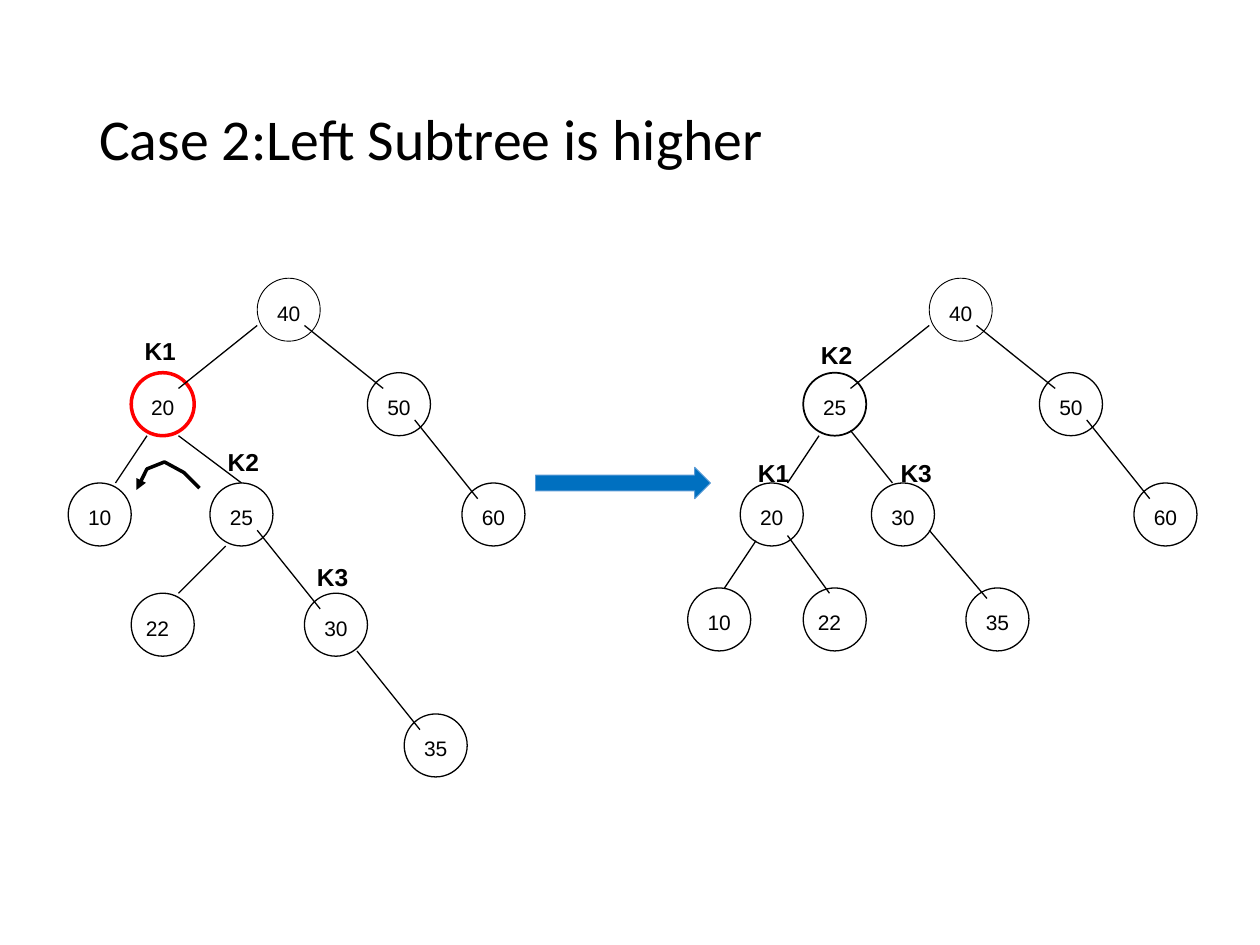
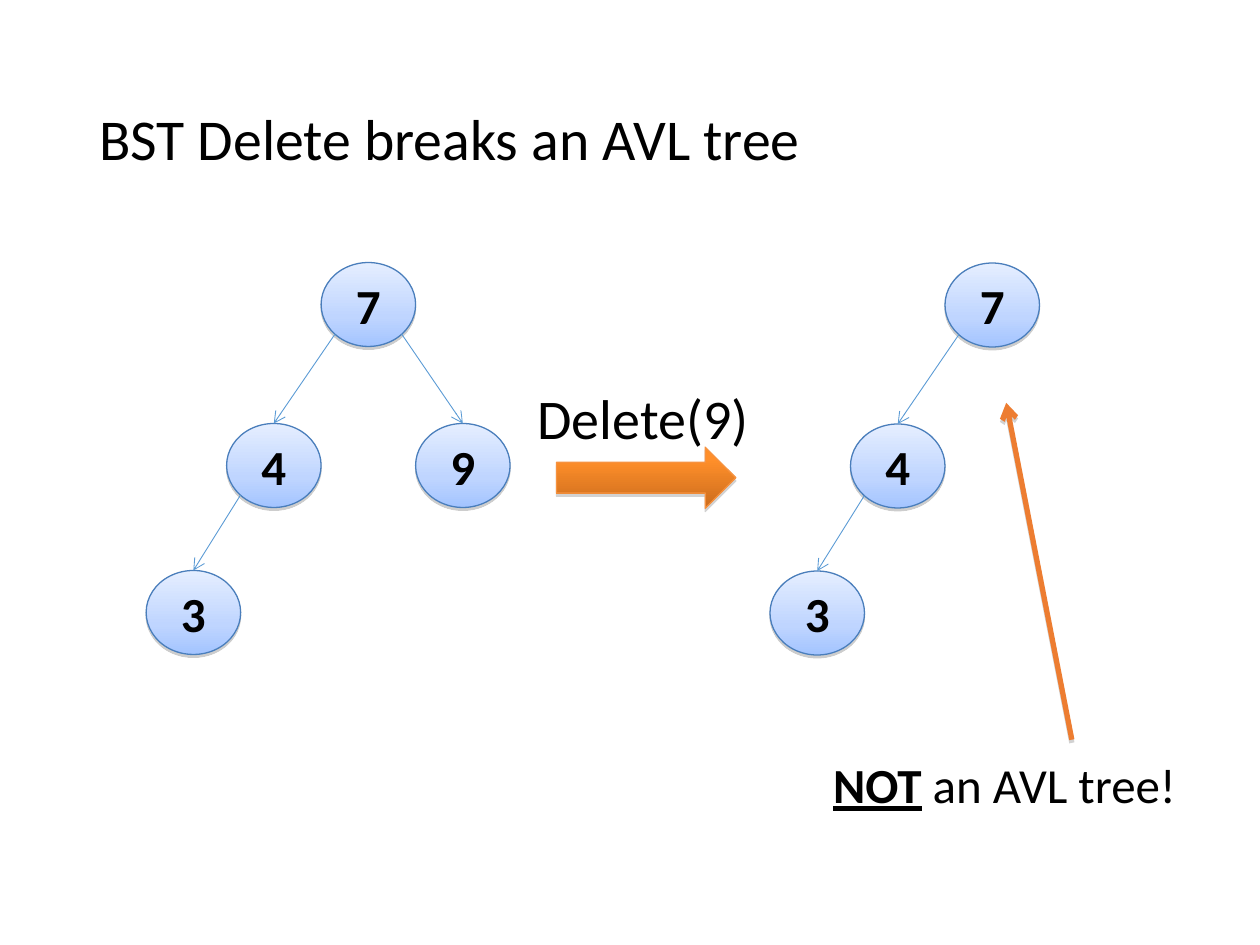
import math

import lxml.etree
import pptx
import pptx.dml.color
import pptx.enum.shapes
import pptx.enum.text
import pptx.oxml.ns
import pptx.util

Pt = pptx.util.Pt
RGB = pptx.dml.color.RGBColor
SHAPE = pptx.enum.shapes.MSO_SHAPE
ALIGN = pptx.enum.text.PP_ALIGN
ANCHOR = pptx.enum.text.MSO_ANCHOR
AUTO_SIZE = pptx.enum.text.MSO_AUTO_SIZE
qn = pptx.oxml.ns.qn

BLACK = RGB(0x00, 0x00, 0x00)
WHITE = RGB(0xFF, 0xFF, 0xFF)
RED = RGB(0xFF, 0x00, 0x00)
ARROW_BLUE = RGB(0x00, 0x70, 0xC0)
EDGE_BLUE = RGB(0x5B, 0x9B, 0xD5)
NODE_BLUE = RGB(0x4A, 0x7E, 0xBB)
ORANGE = RGB(0xED, 0x7D, 0x31)
ORANGE_OUTLINE = RGB(0xF6, 0x92, 0x40)
SHADOW_GREY = RGB(0x80, 0x80, 0x80)
NODE_GRADIENT = [(0, RGB(0xE5, 0xEE, 0xFF)), (65, RGB(0xBF, 0xD5, 0xFF)),
                 (100, RGB(0xA3, 0xC4, 0xFF))]
ARROW_GRADIENT = [(0, RGB(0xFF, 0x8F, 0x26)), (20, RGB(0xFF, 0x8F, 0x2A)),
                  (100, RGB(0xCB, 0x6C, 0x1D))]
NODE_SHADOW = (38, 1.6)
ARROW_SHADOW = (35, 1.8)

CIRCLE = 36
OVAL_W, OVAL_H = 54, 48

# Circles and captions are placed by top left corner, edges by both ends,
# all relative to the tree's box.
TREE_BEFORE = {
    "circles": {"22": (36, 180), "30": (135, 180), "10": (0, 117), "25": (81, 117),
                "20": (36, 54), "40": (108, 0), "50": (171, 54), "60": (225, 117),
                "35": (192, 249)},
    "outlines": {"20": (RED, 2), "40": (BLACK, 0.5)},
    "edges": [(108, 27, 63, 63), (45, 90, 27, 117), (63, 90, 99, 117),
              (90, 153, 63, 180), (108, 144, 144, 189), (198, 81, 234, 126),
              (135, 27, 180, 63), (165, 213, 201, 258)],
    "captions": {"K1": (36.5, 29.5), "K3": (135, 158.5), "K2": (84, 93)},
}
TREE_AFTER = {
    "circles": {"22": (66, 177), "35": (159, 177), "20": (30, 117), "30": (105, 117),
                "25": (66, 54), "40": (138, 0), "50": (201, 54), "60": (255, 117),
                "10": (0, 177)},
    "outlines": {"25": (BLACK, 1), "40": (BLACK, 0.5)},
    "edges": [(138, 27, 93, 63), (75, 90, 57, 117), (93, 87, 117, 117),
              (138, 144, 171, 183), (228, 81, 264, 126), (165, 27, 210, 63),
              (39, 150, 21, 177), (57, 147, 81, 180)],
    "captions": {"K1": (33, 99), "K3": (114.5, 99), "K2": (69, 32)},
}
ROTATION = [(75, 120), (66, 111), (55, 105), (45, 109), (39, 121)]

OVALS = {"7": (100, 0), "4": (46, 92), "3": (0, 176), "9": (154, 92)}
LINKS = [("7", "4"), ("7", "9"), ("4", "3")]


def write(shape, *runs, size=12, font="Calibri", color=BLACK, bold=False,
          underline=False, align=ALIGN.LEFT, anchor=ANCHOR.TOP, wrap=True,
          spacing=None, fit=AUTO_SIZE.NONE):
    """Fill a shape with one paragraph; a run is a string or (string, overrides)."""
    frame = shape.text_frame
    frame.word_wrap = wrap
    frame.auto_size = fit
    frame.vertical_anchor = anchor
    paragraph = frame.paragraphs[0]
    paragraph.alignment = align
    if spacing:
        paragraph.line_spacing = spacing
    for item in runs:
        words, changes = (item, {}) if isinstance(item, str) else item
        run = paragraph.add_run()
        run.text = words
        run.font.name = font
        run.font.size = Pt(size)
        run.font.color.rgb = color
        run.font.bold = changes.get("bold", bold)
        run.font.underline = changes.get("underline", underline)


def add_color(parent, color, opacity=None):
    node = lxml.etree.SubElement(parent, qn("a:srgbClr"), val=str(color))
    if opacity is not None:
        lxml.etree.SubElement(node, qn("a:alpha"), val=str(opacity * 1000))


def set_shadow(shape, shadow=None):
    """Replace the theme's effects by nothing or by a (opacity, drop) shadow."""
    properties = shape._element.spPr
    for old in properties.findall(qn("a:effectLst")):
        properties.remove(old)
    effects = lxml.etree.SubElement(properties, qn("a:effectLst"))
    if shadow:
        opacity, drop = shadow
        outer = lxml.etree.SubElement(effects, qn("a:outerShdw"), blurRad="0",
                                      dist=str(Pt(drop)), dir="5400000", rotWithShape="0")
        add_color(outer, SHADOW_GREY, opacity)


def set_gradient(shape, stops):
    shape.fill.gradient()
    shape.fill.gradient_angle = 270
    stop_list = shape._element.spPr.find(qn("a:gradFill")).find(qn("a:gsLst"))
    for old in list(stop_list):
        stop_list.remove(old)
    for position, color in stops:
        stop = lxml.etree.SubElement(stop_list, qn("a:gs"), pos=str(position * 1000))
        add_color(stop, color)


def set_line(shape, color, width, head=None):
    shape.line.color.rgb = color
    shape.line.width = Pt(width)
    if head:
        outline = shape._element.spPr.find(qn("a:ln"))
        lxml.etree.SubElement(outline, qn("a:tailEnd"), type=head)


def add_preset(slide, kind, x, y, width, height, fill=None, line=None, shadow=None):
    """Add a preset shape; fill is a colour or a list of gradient stops."""
    shape = slide.shapes.add_shape(kind, Pt(x), Pt(y), Pt(width), Pt(height))
    if fill is None:
        shape.fill.background()
    elif isinstance(fill, list):
        set_gradient(shape, fill)
    else:
        shape.fill.solid()
        shape.fill.fore_color.rgb = fill
    if line:
        set_line(shape, *line)
    else:
        shape.line.fill.background()
    set_shadow(shape, shadow)
    return shape


def add_edge(slide, x1, y1, x2, y2, color=BLACK, width=0.75, head=None, shadow=None):
    edge = slide.shapes.add_connector(pptx.enum.shapes.MSO_CONNECTOR.STRAIGHT,
                                      Pt(x1), Pt(y1), Pt(x2), Pt(y2))
    set_line(edge, color, width, head)
    set_shadow(edge, shadow)


def add_caption(slide, x, y, width, height, *runs, **text_format):
    caption = slide.shapes.add_textbox(Pt(x), Pt(y), Pt(width), Pt(height))
    write(caption, *runs, fit=AUTO_SIZE.SHAPE_TO_FIT_TEXT, **text_format)


def add_titled_slide(deck, heading):
    slide = deck.slides.add_slide(deck.slide_layouts.get_by_name("Title Only"))
    title = slide.shapes.title
    title.left, title.top, title.width, title.height = Pt(49.5), Pt(28.75), Pt(621), Pt(104.5)
    write(title, heading, size=33, anchor=ANCHOR.MIDDLE, spacing=0.9)
    return slide


def add_circle_tree(slide, left, top, tree):
    for key, (x, y) in tree["circles"].items():
        key_shift = -3 if key == "22" else 0
        key_box = add_preset(slide, SHAPE.RECTANGLE, left + x + key_shift, top + y + 9,
                             CIRCLE, CIRCLE / 2, fill=WHITE)
        write(key_box, key, font="Arial", align=ALIGN.CENTER)
        add_preset(slide, SHAPE.OVAL, left + x, top + y, CIRCLE, CIRCLE,
                   line=tree["outlines"].get(key, (BLACK, 0.75)))
    for x1, y1, x2, y2 in tree["edges"]:
        add_edge(slide, left + x1, top + y1, left + x2, top + y2)
    for name, (x, y) in tree["captions"].items():
        add_caption(slide, left + x, top + y, 32.5, 24.5, name,
                    size=14, font="Arial", bold=True, wrap=False)


def add_rotation_arrow(slide, left, top):
    points = [(Pt(left + x), Pt(top + y)) for x, y in ROTATION]
    builder = slide.shapes.build_freeform(*points[0])
    builder.add_line_segments(points[1:], close=False)
    rotation = builder.convert_to_shape()
    rotation.fill.background()
    set_line(rotation, BLACK, 2, "triangle")
    set_shadow(rotation)


def add_oval_tree(slide, left, top, keys):
    for key in keys:
        x, y = OVALS[key]
        oval = add_preset(slide, SHAPE.OVAL, left + x, top + y, OVAL_W, OVAL_H,
                          fill=NODE_GRADIENT, line=(NODE_BLUE, 0.75), shadow=NODE_SHADOW)
        write(oval, key, size=28, bold=True, align=ALIGN.CENTER, anchor=ANCHOR.MIDDLE)
    diagonal = math.sqrt(0.5)
    for parent, child in LINKS:
        if child not in keys:
            continue
        (px, py), (cx, cy) = OVALS[parent], OVALS[child]
        side = math.copysign(diagonal, cx - px)
        add_edge(slide, left + px + OVAL_W / 2 * (1 + side),
                 top + py + OVAL_H / 2 * (1 + diagonal),
                 left + cx + OVAL_W / 2, top + cy,
                 color=EDGE_BLUE, width=0.5, head="arrow")


def add_delete_step(slide, left, top):
    add_preset(slide, SHAPE.RIGHT_ARROW, left + 18, top + 40, 102.5, 35,
               fill=ARROW_GRADIENT, line=(ORANGE_OUTLINE, 0.75), shadow=ARROW_SHADOW)
    add_caption(slide, left, top, 137, 46, "Delete(9)", size=32, wrap=False)


def add_verdict(slide, left, top):
    add_edge(slide, left + 160.5, top - 5, left + 123, top - 197.5,
             color=ORANGE, width=3, head="arrow", shadow=ARROW_SHADOW)
    add_caption(slide, left, top, 244, 41, ("NOT", {"bold": True, "underline": True}),
                " an AVL tree!", size=28, align=ALIGN.CENTER)


def build_rotation_slide(deck):
    slide = add_titled_slide(deck, "Case 2:Left Subtree is higher")
    add_preset(slide, SHAPE.RIGHT_ARROW, 306, 267, 100, 18,
               fill=ARROW_BLUE, line=(EDGE_BLUE, 0.5))
    add_rotation_arrow(slide, 39, 159)
    add_circle_tree(slide, 39, 159, TREE_BEFORE)
    add_circle_tree(slide, 393, 159, TREE_AFTER)


def build_delete_slide(deck):
    slide = add_titled_slide(deck, "BST Delete breaks an AVL tree")
    add_oval_tree(slide, 83.5, 150, "7439")
    add_oval_tree(slide, 440, 150.3, "743")
    add_delete_step(slide, 300, 215.5)
    add_verdict(slide, 452, 427.7)


def main():
    deck = pptx.Presentation()
    deck.slide_width, deck.slide_height = Pt(720), Pt(540)
    build_rotation_slide(deck)
    build_delete_slide(deck)
    deck.save("out.pptx")


if __name__ == "__main__":
    main()
